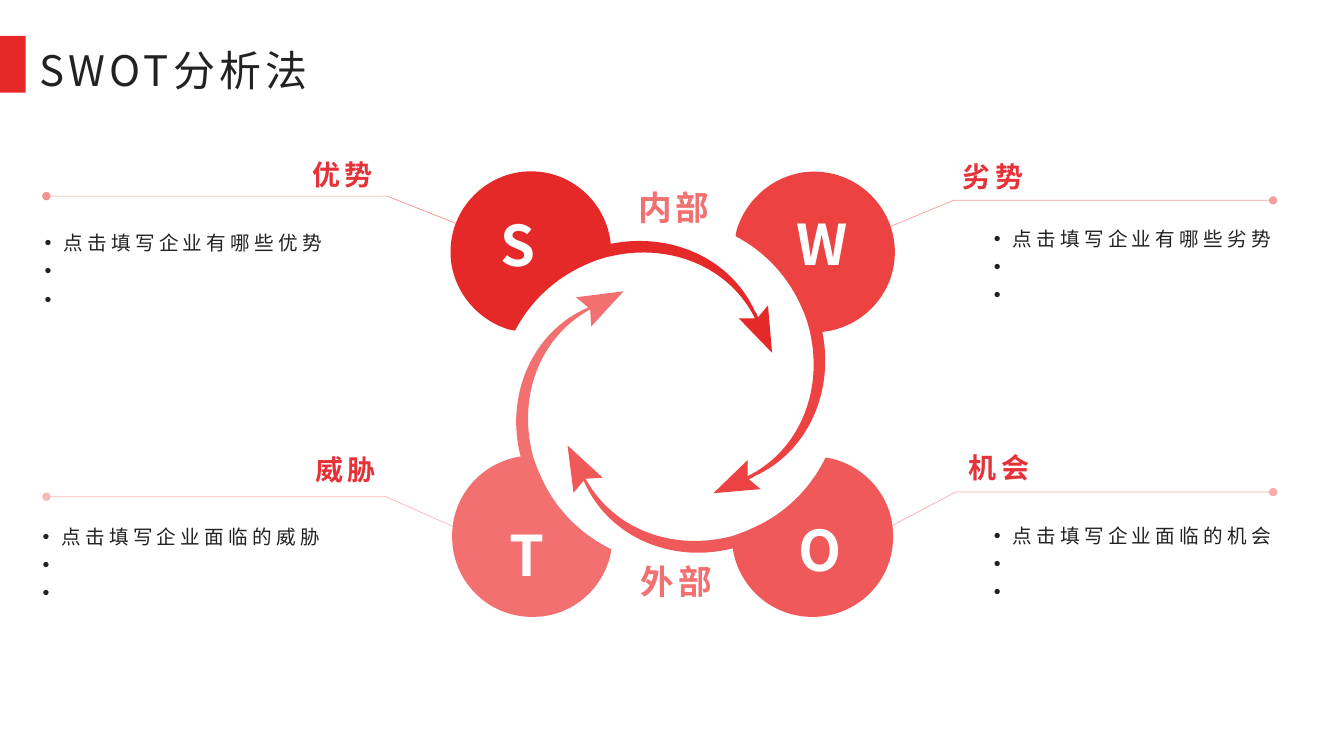
from lxml import etree
from pptx import Presentation
from pptx.dml import color
from pptx.enum import shapes, text
from pptx.oxml import ns
from pptx.util import Pt

FONT = "Noto Sans CJK SC"
RED, DARK, WHITE, PINK = "E53238", "222222", "FFFFFF", "F27070"
LEFT, MID = text.PP_ALIGN.LEFT, text.PP_ALIGN.CENTER
TOP, HALF, LOW = text.MSO_ANCHOR.TOP, text.MSO_ANCHOR.MIDDLE, text.MSO_ANCHOR.BOTTOM

prs = Presentation()
prs.slide_width, prs.slide_height = Pt(960), Pt(540)
slide = prs.slides.add_slide(prs.slide_layouts[6])


def rgb(code):
    return color.RGBColor.from_string(code)


def write(box, lines, size, ink, bold=False, align=LEFT, anchor=TOP,
          pad=(3.6, 3.6), wrap=True, gap=1.0, track=300, dots=False):
    frame = slide.shapes.add_textbox(*map(Pt, box)).text_frame
    frame.word_wrap = wrap
    frame.auto_size = text.MSO_AUTO_SIZE.SHAPE_TO_FIT_TEXT
    frame.vertical_anchor = anchor
    frame.margin_left = frame.margin_right = Pt(pad[0])
    frame.margin_top = frame.margin_bottom = Pt(pad[1])
    for i, line in enumerate(lines):
        para = frame.add_paragraph() if i else frame.paragraphs[0]
        para.alignment = align
        para.line_spacing = gap
        if dots:
            props = para._p.get_or_add_pPr()
            props.set("marL", str(Pt(13.5)))
            props.set("indent", str(-Pt(13.5)))
            etree.SubElement(props, ns.qn("a:buFont"), typeface="Arial")
            etree.SubElement(props, ns.qn("a:buChar"), char="•")
        run = para.add_run()
        run.text = line
        font = run.font
        font.size, font.bold, font.name = Pt(size), bold, FONT
        font.color.rgb = rgb(ink)
        mark = run._r.get_or_add_rPr()
        mark.set("spc", str(track))
        etree.SubElement(mark, ns.qn("a:ea"), typeface=FONT)


# Arrow outlines: two numbers are a corner, six are a Bezier curve
upper = [
    (551.5, 252), (548.6, 218.2), (541.4, 226.8),
    (540.7, 224.6, 540.7, 223.9, 539.3, 222.5),
    (522, 184.3, 478.8, 165.6, 436.3, 174.2),
    (433.4, 145.4, 409, 122.4, 379.4, 122.4),
    (347.8, 122.4, 321.8, 148.3, 321.8, 180),
    (321.8, 205.9, 339.8, 228.2, 363.6, 235.4), (367.9, 236.2),
    (378, 216.7, 394.6, 200.2, 416.2, 190.1),
    (428.4, 184.3, 437, 182.9, 437, 182.9),
    (478.8, 173.5, 521.3, 190.8, 539.3, 227.5), (527.8, 227.5),
]
lower = [
    (405.4, 318.2), (409.7, 352.1), (416.9, 343.4),
    (417.6, 345.6, 417.6, 345.6, 419, 347.8),
    (437.8, 385.2, 481.7, 402.5, 523.4, 391.7),
    (527.8, 420.5, 553, 442.1, 583.2, 440.6),
    (614.9, 439.2, 639.4, 412.6, 637.9, 380.9),
    (637.2, 355, 618.5, 333.4, 594, 327.6), (589.7, 326.9),
    (580.3, 346.3, 564.5, 363.6, 543.6, 374.4),
    (530.6, 380.9, 522.7, 383, 522.7, 383),
    (481, 393.8, 438.5, 378.7, 418.3, 342), (430.6, 341.3),
]

# Four arrows with letters; W and T are quarter turns of S and O
arrows = [
    ("S", "E52828", upper, None, (354.2, 146.9, 229.7, 55.4), LEFT, HALF, 3.6),
    ("W", "EC4242", upper, (761.6, -199.2), (522.5, 149.8, 129.6, 48.2), MID, HALF, 0),
    ("O", "F05959", lower, None, (468.7, 367.9, 234, 48.2), MID, HALF, 0),
    ("T", "F27070", lower, (763.6, -197.3), (314.6, 368.2, 123.8, 55.4), MID, LOW, 3.6),
]
for name, fill, path, turn, box, align, anchor, pad in arrows:
    parts = []
    for part in path:
        dots = list(zip(part[::2], part[1::2]))
        if turn:
            dots = [(turn[0] - y, turn[1] + x) for x, y in dots]
        parts.append([(Pt(x), Pt(y)) for x, y in dots])
    pen = slide.shapes.build_freeform(*parts[0][0])
    pen.add_line_segments([dots[-1] for dots in parts[1:]], close=True)
    arrow = pen.convert_to_shape()
    # Bend the straight segments that have control points
    edges = list(arrow._element.iter(ns.qn("a:lnTo")))
    for edge, dots in zip(edges, parts[1:]):
        if len(dots) == 3:
            bend = etree.Element(ns.qn("a:cubicBezTo"))
            for x, y in dots:
                etree.SubElement(bend, ns.qn("a:pt"), x=str(x - arrow.left), y=str(y - arrow.top))
            edge.getparent().replace(edge, bend)
    arrow.shadow.inherit = False
    arrow.fill.solid()
    arrow.fill.fore_color.rgb = rgb(fill)
    arrow.line.fill.background()
    write(box, [name], 40, WHITE, True, align, anchor, (pad, pad), track=0)

# Callout lines with a round end
calls = [
    ("E52828", (337, 164), (276.5, 140.1), (33.1, 140.1)),
    ("EC4242", (623.5, 167), (681.1, 143.1), (909.4, 143.1)),
    ("F05959", (625.7, 381.6), (682.6, 351.5), (909.4, 351.5)),
    ("F27070", (336.2, 381.6), (275.6, 354.8), (33.1, 354.8)),
]
for ink, *dots in calls:
    dots = [(Pt(x), Pt(y)) for x, y in dots]
    pen = slide.shapes.build_freeform(*dots[0])
    pen.add_line_segments(dots[1:], close=False)
    call = pen.convert_to_shape()
    call.shadow.inherit = False
    call.fill.background()
    call.line.width = Pt(0.5)
    call.line.color.rgb = rgb(ink)
    edge = call.line._get_or_add_ln()
    tint = edge.find(".//" + ns.qn("a:srgbClr"))
    etree.SubElement(tint, ns.qn("a:alpha"), val="50000")
    etree.SubElement(edge, ns.qn("a:tailEnd"), type="oval")

# Title
bar = slide.shapes.add_shape(shapes.MSO_SHAPE.RECTANGLE, Pt(0), Pt(25.6), Pt(18.4), Pt(40.5))
bar.shadow.inherit = False
bar.fill.solid()
bar.fill.fore_color.rgb = rgb("E52828")
bar.line.fill.background()
write((24.9, 21.3, 453.6, 47.5), ["SWOT分析法"], 30, DARK, gap=1.2)

# Headings
for name, box in [("劣势", (684.2, 113.2, 64, 28.8)), ("机会", (688.5, 321.1, 63.4, 28.8)),
                  ("威胁", (221.8, 322.6, 69.1, 28.8))]:
    write(box, [name], 20, RED, True, gap=0.9)
for name, size, ink, box in [("优势", 20, RED, (213.9, 111.6, 61.2, 28.8)),
                             ("内部", 24, PINK, (446.8, 133.2, 69.1, 33.1)),
                             ("外部", 24, PINK, (448.6, 400.3, 69.1, 33.1))]:
    write(box, [name], size, ink, True, MID, pad=(7.2, 3.6), wrap=False, gap=0.9)

# Bullet lists, two bullets left open
for line, x, y, wide in [("点击填写企业有哪些优势", 24.9, 158.2, 247.7),
                         ("点击填写企业面临的威胁", 23.4, 367.9, 234.7),
                         ("点击填写企业有哪些劣势", 702.8, 155.1, 224.6),
                         ("点击填写企业面临的机会", 702.8, 367.2, 224.6)]:
    write((x, y, wide, 67), [line, " ", " "], 14, DARK, pad=(7.2, 3.6), gap=1.2, dots=True)

prs.save("out.pptx")
